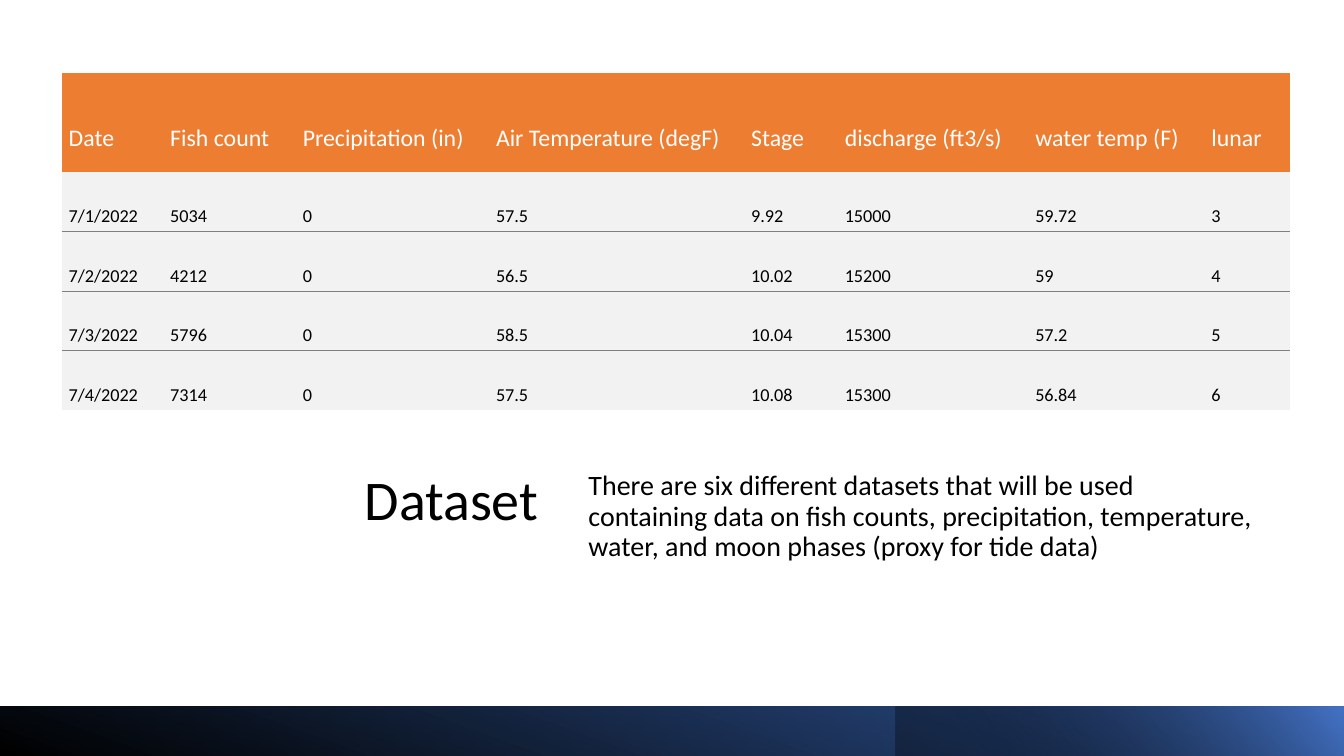
"""Builds the dataset slide: a data table, a title with its summary, and a gradient footer."""
import pptx
import pptx.dml.color
import pptx.enum.shapes
import pptx.enum.text
import pptx.oxml.ns
import pptx.util
from lxml import etree

Cm = pptx.util.Cm
Pt = pptx.util.Pt
qn = pptx.oxml.ns.qn
ALIGN = pptx.enum.text.PP_ALIGN
ANCHOR = pptx.enum.text.MSO_ANCHOR

NO_STYLE = "{2D5ABB26-0587-4C30-8999-92F81FD0307C}"
COLUMNS = [
    ("Date", 2.56),
    ("Fish count", 3.34),
    ("Precipitation (in)", 4.87),
    ("Air Temperature (degF)", 6.43),
    ("Stage", 2.36),
    ("discharge (ft3/s)", 4.8),
    ("water temp (F)", 4.44),
    ("lunar", 2.16),
]
RECORDS = [
    ("7/1/2022", "5034", "0", "57.5", "9.92", "15000", "59.72", "3"),
    ("7/2/2022", "4212", "0", "56.5", "10.02", "15200", "59", "4"),
    ("7/3/2022", "5796", "0", "58.5", "10.04", "15300", "57.2", "5"),
    ("7/4/2022", "7314", "0", "57.5", "10.08", "15300", "56.84", "6"),
]


def rgb(color):
    """Turn a hex string into a colour."""
    return pptx.dml.color.RGBColor.from_string(color)


def write(tf, text, size, color="000000", align=ALIGN.LEFT, spacing=1.0):
    """Put one formatted paragraph into a text frame."""
    tf.word_wrap = True
    p = tf.paragraphs[0]
    p.alignment = align
    p.line_spacing = spacing
    p.space_before = Pt(0)
    r = p.add_run()
    r.text = text
    r.font.name = "Calibri"
    r.font.size = Pt(size)
    r.font.color.rgb = rgb(color)


def add_border(cell, side, color="808080", width=0.75):
    """Draw one border line of a cell."""
    tag = qn(f"a:{side}")
    ln = etree.SubElement(cell._tc.get_or_add_tcPr(), tag, w=str(Pt(width)))
    fill = etree.SubElement(ln, qn("a:solidFill"))
    etree.SubElement(fill, qn("a:srgbClr"), val=color)


def fill_cell(cell, text, size, color, fill, bottom):
    """Format a bottom-anchored table cell and write its text."""
    cell.fill.solid()
    cell.fill.fore_color.rgb = rgb(fill)
    cell.vertical_anchor = ANCHOR.BOTTOM
    cell.margin_left = cell.margin_right = cell.margin_top = Cm(0.18)
    cell.margin_bottom = Cm(bottom)
    write(cell.text_frame, text, size, color)


def add_data_table(s, left, top, head_height=2.51, row_height=1.5):
    """Place the table of daily records at the given corner."""
    width = sum(w for _, w in COLUMNS)
    height = head_height + row_height * len(RECORDS)
    frame = s.shapes.add_table(len(RECORDS) + 1, len(COLUMNS),
                               Cm(left), Cm(top), Cm(width), Cm(height))
    table = frame.table
    table.horz_banding = False
    table._tbl.tblPr.find(qn("a:tableStyleId")).text = NO_STYLE
    table.rows[0].height = Cm(head_height)
    for c, (name, w) in enumerate(COLUMNS):
        table.columns[c].width = Cm(w)
        fill_cell(table.cell(0, c), name, 17, "FFFFFF", "ED7D31", 0.48)
    for n, record in enumerate(RECORDS, 1):
        table.rows[n].height = Cm(row_height)
        for c, value in enumerate(record):
            cell = table.cell(n, c)
            if n > 1:
                add_border(cell, "lnT")
            if n < len(RECORDS):
                add_border(cell, "lnB")
            fill_cell(cell, value, 13, "000000", "F2F2F2", 0.1)


def add_caption(s, left, top, width, height, title_width=11.53, gap=0.76):
    """Place the title and, to its right, the summary."""
    title = s.shapes.title
    title.left, title.top = Cm(left), Cm(top)
    title.width, title.height = Cm(title_width), Cm(height)
    title.text_frame.vertical_anchor = ANCHOR.TOP
    write(title.text_frame, "Dataset", 40, align=ALIGN.RIGHT, spacing=0.9)
    offset = title_width + gap
    sp = s.shapes.add_textbox(Cm(left + offset), Cm(top), Cm(width - offset), Cm(height))
    write(sp.text_frame,
          "There are six different datasets that will be used containing data on "
          "fish counts, precipitation, temperature, water, and moon phases "
          "(proxy for tide data)", 20, spacing=0.9)


def add_gradient_bar(s, left, top, width, height, stops, angle):
    """Add a mirrored rectangle with a gradient of (position, colour, opacity) stops."""
    sp = s.shapes.add_shape(pptx.enum.shapes.MSO_SHAPE.RECTANGLE,
                            Cm(left), Cm(top), Cm(width), Cm(height))
    sp.shadow.inherit = False
    sp.line.fill.background()
    sp._element.spPr.find(qn("a:xfrm")).set("flipH", "1")
    sp.fill.gradient()
    sp.fill.gradient_angle = angle
    for stop, (position, color, opacity) in zip(sp.fill.gradient_stops, stops):
        stop.position = position
        stop.color.rgb = rgb(color)
        if opacity < 1:
            clr = stop._gs.find(qn("a:srgbClr"))
            etree.SubElement(clr, qn("a:alpha"), val=str(round(opacity * 100000)))


def add_footer(s, left, top, width, height):
    """Place the footer band with a brighter right third."""
    third = width / 3
    add_gradient_bar(s, left, top, width, height,
                     [(0, "000000", 1), (1, "2F5597", 1)], 110)
    add_gradient_bar(s, left + width - third, top, third, height,
                     [(0.19, "000000", 0.31), (0.99, "4472C4", 1)], 140)


def main():
    """Build and save the slide."""
    prs = pptx.Presentation()
    prs.slide_width, prs.slide_height = Cm(33.87), Cm(19.05)
    s = prs.slides.add_slide(prs.slide_layouts[5])
    add_caption(s, 2.29, 11.76, 29.61, 5)
    add_footer(s, 0, 17.8, 33.87, 1.25)
    add_data_table(s, 1.55, 1.83)
    prs.save("out.pptx")


if __name__ == "__main__":
    main()
